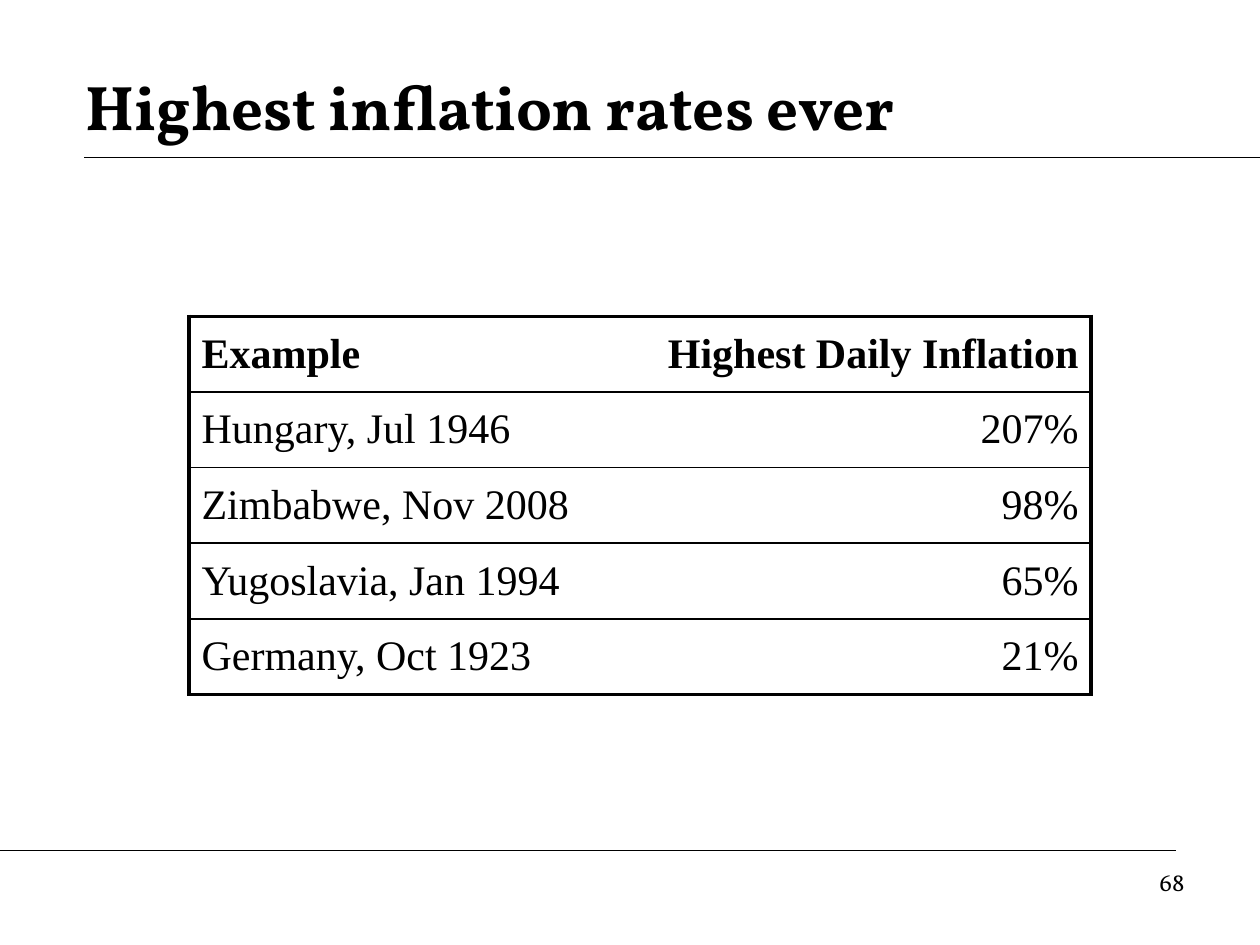
"""Build a slide with a ruled table of the highest inflation rates."""
from lxml.etree import SubElement
from pptx import Presentation
from pptx.dml.color import RGBColor
from pptx.enum.shapes import MSO_CONNECTOR as Connector
from pptx.enum.text import MSO_ANCHOR as Anchor, PP_ALIGN as Align
from pptx.oxml.ns import qn
from pptx.util import Inches, Pt

TITLE = "Highest inflation rates ever"
PAGE_NUMBER = "68"
ROWS = [
    ("Example", "Highest Daily Inflation"),
    ("Hungary, Jul 1946", "207%"),
    ("Zimbabwe, Nov 2008", "98%"),
    ("Yugoslavia, Jan 1994", "65%"),
    ("Germany, Oct 1923", "21%"),
]
ALIGNMENTS = (Align.LEFT, Align.RIGHT)
RULES = [(0.67, 10, 1.25), (0, 9.33, 6.75), (1.25, 10, 1.25), (0, 7.08, 6.75)]
BLACK, WHITE = "000000", "FFFFFF"
HEADING_FONT, TABLE_FONT = "Vollkorn", "Times New Roman"
OUTER, INNER = 2.25, 1
ROW_HEIGHT, COLUMN_WIDTH = 0.58, 3.58


def color(value):
    return RGBColor.from_string(value)


def write(frame, text, font, size, align, bold=False):
    para = frame.paragraphs[0]
    para.alignment = align
    span = para.add_run()
    span.text = text
    span.font.name = font
    span.font.size = Pt(size)
    span.font.bold = bold
    span.font.color.rgb = color(BLACK)


def place(shape, left, top, width, height):
    shape.left, shape.top = Inches(left), Inches(top)
    shape.width, shape.height = Inches(width), Inches(height)


def add_rule(page, start, end, y):
    rule = page.shapes.add_connector(
        Connector.STRAIGHT, Inches(start), Inches(y), Inches(end), Inches(y))
    rule.line.color.rgb = color(BLACK)
    rule.line.width = Pt(0.75)
    SubElement(rule._element.spPr, qn("a:effectLst"))


def set_borders(cell, widths):
    properties = cell._tc.get_or_add_tcPr()
    for index, (side, width) in enumerate(widths.items()):
        border = properties.makeelement(qn(f"a:ln{side}"), {"w": str(Pt(width))})
        if width:
            fill = SubElement(border, qn("a:solidFill"))
            SubElement(fill, qn("a:srgbClr"), val=BLACK)
        else:
            SubElement(border, qn("a:noFill"))
        properties.insert(index, border)


def add_rates_table(page):
    last_row, last_column = len(ROWS) - 1, len(ALIGNMENTS) - 1
    frame = page.shapes.add_table(
        len(ROWS), len(ALIGNMENTS), Inches(1.5), Inches(2.51),
        Inches(COLUMN_WIDTH * len(ALIGNMENTS)), Inches(ROW_HEIGHT * len(ROWS)))
    table = frame.table
    table.horz_banding = table.first_row = False
    for r, values in enumerate(ROWS):
        for c, (text, align) in enumerate(zip(values, ALIGNMENTS)):
            cell = table.cell(r, c)
            cell.fill.solid()
            cell.fill.fore_color.rgb = color(WHITE)
            cell.vertical_anchor = Anchor.MIDDLE
            cell.margin_left = cell.margin_right = Inches(0.1)
            cell.margin_top = cell.margin_bottom = Inches(0.1)
            write(cell.text_frame, text, TABLE_FONT, 24, align, bold=r == 0)
            set_borders(cell, {
                "L": OUTER if c == 0 else 0,
                "R": OUTER if c == last_column else 0,
                "T": OUTER if r == 0 else INNER,
                "B": OUTER if r == last_row else INNER,
            })


def main():
    deck = Presentation()
    deck.slide_width, deck.slide_height = Inches(10), Inches(7.5)
    page = deck.slides.add_slide(deck.slide_layouts[5])

    title = page.shapes.title
    place(title, 0.58, 0.42, 8.67, 0.83)
    title.text_frame.vertical_anchor = Anchor.MIDDLE
    write(title.text_frame, TITLE, HEADING_FONT, 36, Align.LEFT, bold=True)

    for rule in RULES:
        add_rule(page, *rule)

    box = page.shapes.add_textbox(
        Inches(7.17), Inches(6.83), Inches(2.33), Inches(0.52))
    box.text_frame.word_wrap = True
    write(box.text_frame, PAGE_NUMBER, HEADING_FONT, 14, Align.RIGHT)

    add_rates_table(page)
    deck.save("out.pptx")


if __name__ == "__main__":
    main()
